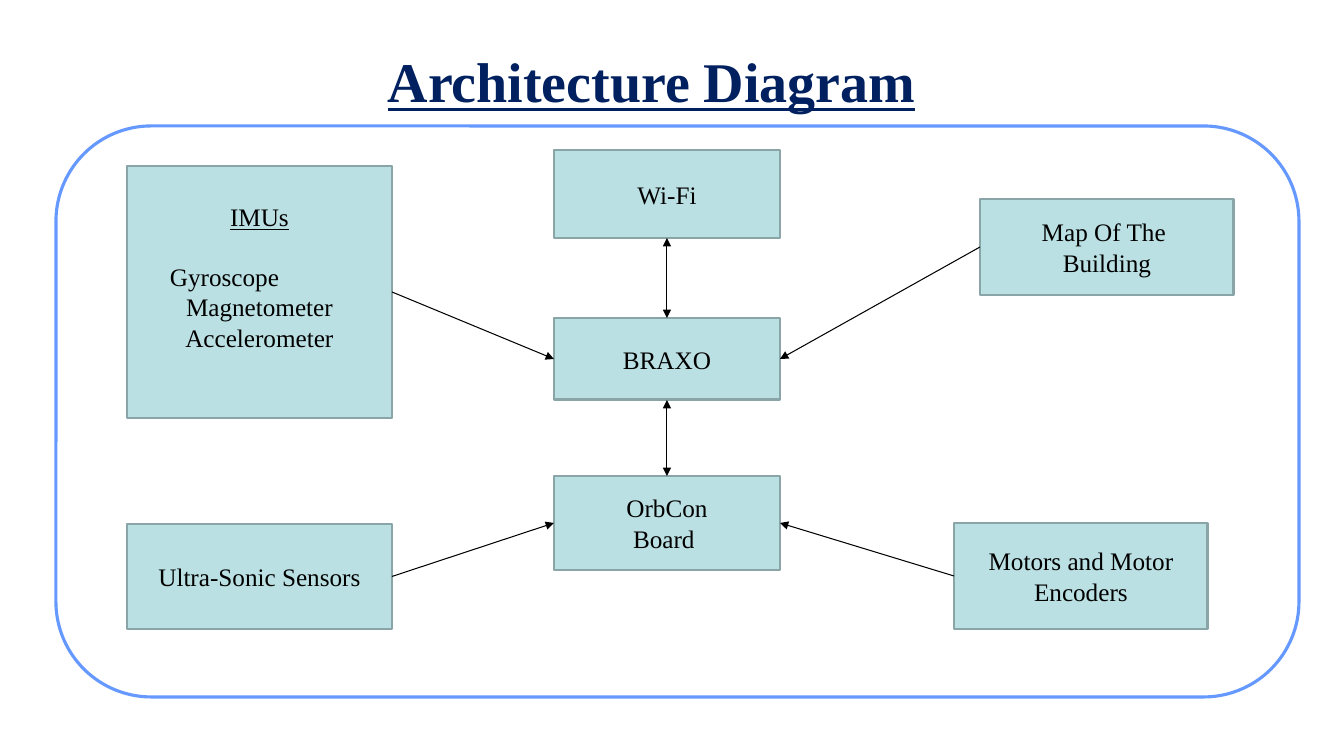
import pptx
import pptx.util
import pptx.dml.color
import pptx.enum.shapes
import pptx.enum.text
from lxml import etree

PX = 914400 / 100.8
RGB = pptx.dml.color.RGBColor
NAVY = RGB(0x00, 0x20, 0x60)
BLUE = RGB(0x66, 0x99, 0xFF)
TEAL = RGB(0xBB, 0xE0, 0xE3)
EDGE = RGB(0x8A, 0xA5, 0xA7)
BLACK = RGB(0, 0, 0)
WHITE = RGB(255, 255, 255)
SHAPE = pptx.enum.shapes.MSO_SHAPE
ALIGN = pptx.enum.text.PP_ALIGN
Pt = pptx.util.Pt
A = "{http://schemas.openxmlformats.org/drawingml/2006/main}"


def emu(*lengths):
    return [round(n * PX) for n in lengths]


def add_box(kind, at, fill, line, width):
    s = shapes.add_shape(kind, *emu(*at))
    s.shadow.inherit = False
    s.fill.solid()
    s.fill.fore_color.rgb = fill
    s.line.color.rgb = line
    s.line.width = Pt(width)
    return s


prs = pptx.Presentation()
prs.slide_width, prs.slide_height = emu(1344, 756)
shapes = prs.slides.add_slide(prs.slide_layouts[6]).shapes

# Rounded frame
frame = add_box(SHAPE.ROUNDED_RECTANGLE, (56, 126, 1243, 571), WHITE, BLUE, 2.25)
frame.adjustments[0] = 0.167

# Title
tf = shapes.add_textbox(*emu(235, 42, 833, 78)).text_frame
tf.word_wrap = True
p = tf.paragraphs[0]
p.text = "Architecture Diagram"
p.alignment = ALIGN.CENTER
p.font.name, p.font.size = "Times New Roman", Pt(40)
p.font.bold = p.font.underline = True
p.font.color.rgb = NAVY

# Component boxes: name, place, paragraphs
components = [
    ("wifi", (554, 150, 226, 88), ["Wi-Fi"]),
    ("computer", (554, 318, 226, 82), ["BRAXO"]),
    ("board", (554, 476, 226, 94), ["OrbCon", "Board "]),
    ("motors", (954, 523, 254, 106), ["Motors and Motor Encoders"]),
    ("map", (980, 199, 254, 96), ["Map Of The ", "Building"]),
    ("imus", (127, 166, 265, 252), ["IMUs", "Gyroscope", "Magnetometer", "Accelerometer"]),
    ("sonic", (127, 524, 265, 105), ["Ultra-Sonic Sensors"]),
]
boxes = {}
for name, at, lines in components:
    s = boxes[name] = add_box(SHAPE.RECTANGLE, at, TEAL, EDGE, 2)
    tf = s.text_frame
    tf.word_wrap = True
    tf.vertical_anchor = pptx.enum.text.MSO_ANCHOR.MIDDLE
    for i, line in enumerate(lines):
        p = tf.add_paragraph() if i else tf.paragraphs[0]
        p.text = line
        p.alignment = ALIGN.CENTER
        p.font.name, p.font.size = "Times New Roman", Pt(18)
        p.font.color.rgb = BLACK

# Sensor list: underlined heading, first sensor set to the left
tf = boxes["imus"].text_frame
tf.margin_bottom = emu(35)[0]
heading, gyroscope = tf.paragraphs[:2]
heading.font.underline = True
heading.space_after = Pt(21)
gyroscope.alignment = ALIGN.LEFT
gyroscope._p.get_or_add_pPr().set("marL", str(emu(33)[0]))

# Arrows between the sides of the boxes
TOP, LEFT, BOTTOM, RIGHT = range(4)
arrows = [
    ("wifi", BOTTOM, "computer", TOP, True),
    ("computer", BOTTOM, "board", TOP, True),
    ("imus", RIGHT, "computer", LEFT, False),
    ("map", LEFT, "computer", RIGHT, False),
    ("sonic", RIGHT, "board", LEFT, False),
    ("motors", LEFT, "board", RIGHT, False),
]
for start, start_side, end, end_side, both_ways in arrows:
    c = shapes.add_connector(pptx.enum.shapes.MSO_CONNECTOR.STRAIGHT, 0, 0, 0, 0)
    c.begin_connect(boxes[start], start_side)
    c.end_connect(boxes[end], end_side)
    c.line.color.rgb = BLACK
    c.line.width = Pt(0.75)
    ln = c.line._get_or_add_ln()
    for tag in ["headEnd", "tailEnd"] if both_ways else ["tailEnd"]:
        etree.SubElement(ln, A + tag, type="triangle")
    etree.SubElement(c._element.spPr, A + "effectLst")

prs.save("out.pptx")
